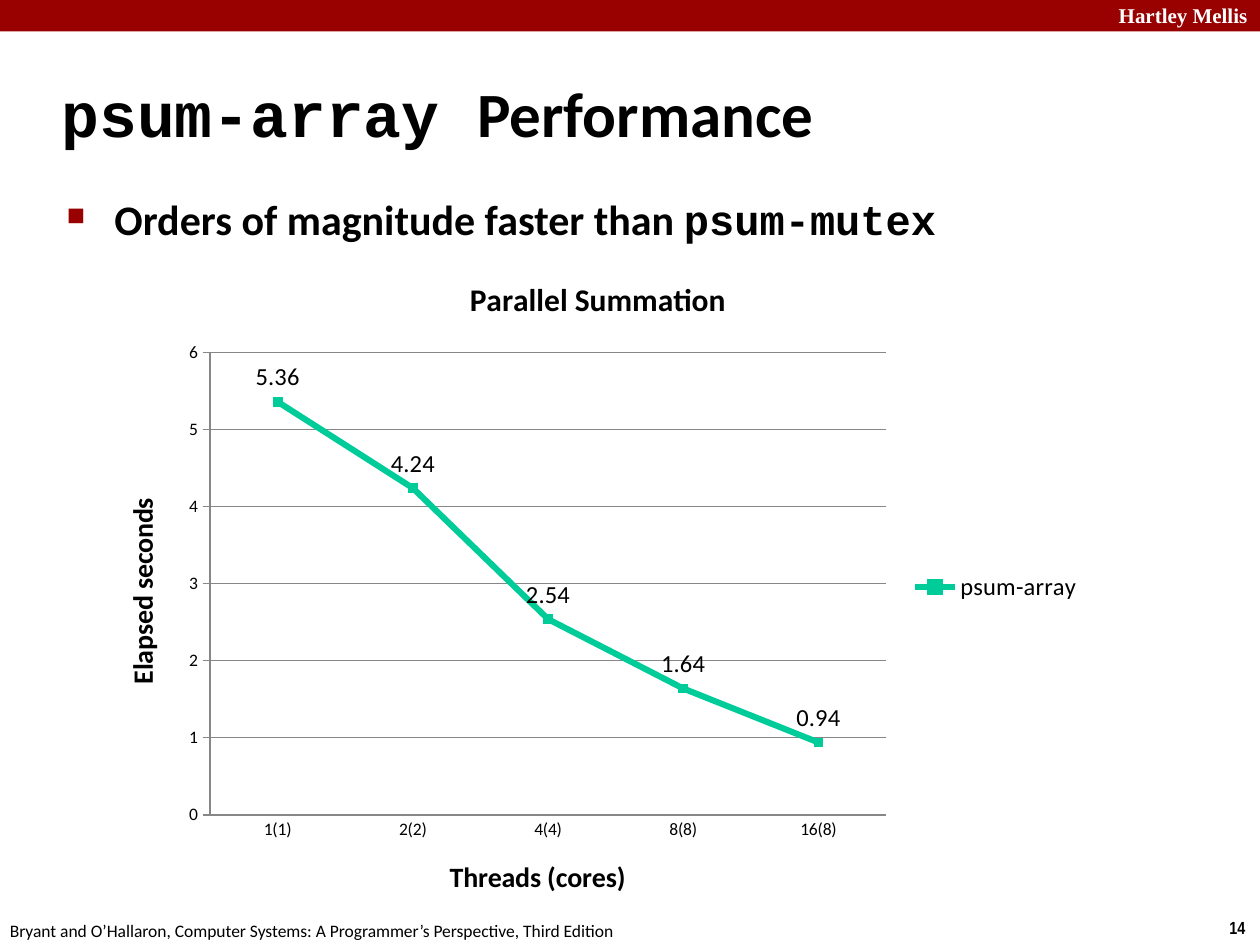
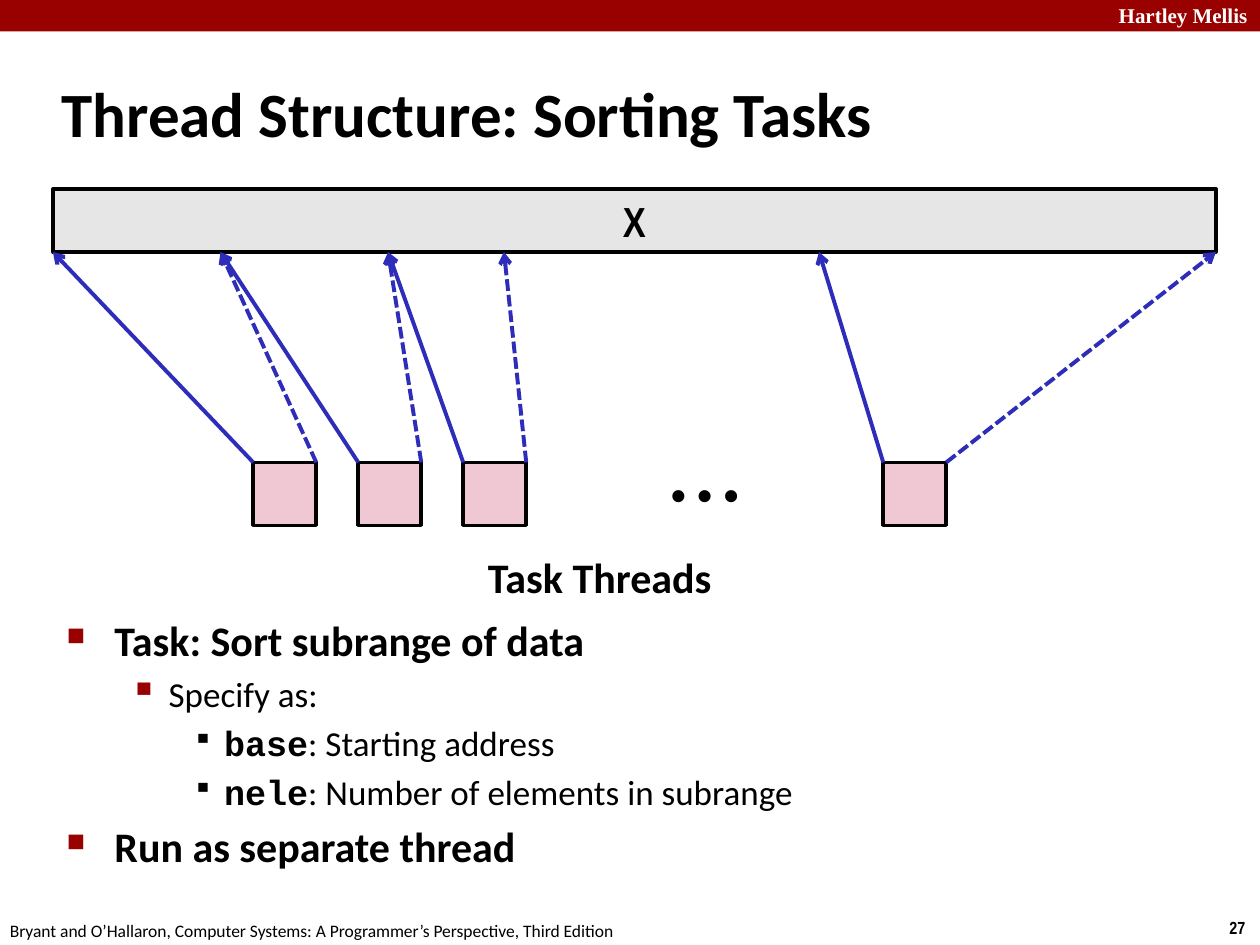
from collections import namedtuple

from lxml import etree
from pptx import Presentation
from pptx.chart.data import CategoryChartData
from pptx.dml.color import RGBColor
from pptx.enum.chart import (XL_CHART_TYPE, XL_LABEL_POSITION, XL_LEGEND_POSITION,
                             XL_MARKER_STYLE, XL_TICK_MARK)
from pptx.enum.dml import MSO_LINE
from pptx.enum.shapes import MSO_CONNECTOR, MSO_SHAPE
from pptx.enum.text import MSO_ANCHOR, PP_ALIGN
from pptx.oxml.ns import qn
from pptx.util import Inches, Pt

LEFT, CENTER, RIGHT = PP_ALIGN.LEFT, PP_ALIGN.CENTER, PP_ALIGN.RIGHT
TOP, MIDDLE = MSO_ANCHOR.TOP, MSO_ANCHOR.MIDDLE
RECTANGLE, STRAIGHT = MSO_SHAPE.RECTANGLE, MSO_CONNECTOR.STRAIGHT
DASHED = MSO_LINE.SQUARE_DOT
NO_TICK, TICK_OUT = XL_TICK_MARK.NONE, XL_TICK_MARK.OUTSIDE
LINE_MARKERS, SQUARE = XL_CHART_TYPE.LINE_MARKERS, XL_MARKER_STYLE.SQUARE
LEGEND_RIGHT, LABEL_ABOVE = XL_LEGEND_POSITION.RIGHT, XL_LABEL_POSITION.ABOVE

BODY, CODE = "Calibri", "Courier New"
BLACK, WHITE, CRIMSON = "000000", "FFFFFF", "990000"
BAR_GREY, TASK_PINK, ARROW_BLUE = "E6E6E6", "F0C8D3", "2D2DB9"
SERIES_GREEN, GRID_GREY = "00CC99", "878787"

Box = namedtuple("Box", "left top width height")
Run = namedtuple("Run", "text font bold", defaults=(BODY, True))
Level = namedtuple("Level", "size margin hanging bullet bullet_color bullet_percent")

TITLE_BOX = Box(0.39, 0.48, 8.3, 0.83)
LEVELS = [
    Level(24, 0.38, 0.38, "■", CRIMSON, 60),
    Level(20, 0.81, 0.31, "▪", CRIMSON, 110),
    Level(20, 1.25, 0.25, "▪", BLACK, 80),
]


def color(hex_string):
    return RGBColor.from_string(hex_string)


def style_font(font, size, name=BODY, hex_string=BLACK, bold=False):
    font.size, font.name, font.bold = Pt(size), name, bold
    font.color.rgb = color(hex_string)


def fill_paragraph(paragraph, runs, size, hex_string=BLACK):
    for text, name, bold in runs:
        run = paragraph.add_run()
        run.text = text
        style_font(run.font, size, name, hex_string, bold)


def add_text(slide, box, runs, size, hex_string=BLACK, align=LEFT, anchor=TOP, wrap=False):
    shape = slide.shapes.add_textbox(*map(Inches, box))
    frame = shape.text_frame
    frame.word_wrap, frame.vertical_anchor = wrap, anchor
    paragraph = frame.paragraphs[0]
    paragraph.alignment = align
    fill_paragraph(paragraph, runs, size, hex_string)


def add_rectangle(slide, box, fill, line=None):
    shape = slide.shapes.add_shape(RECTANGLE, *map(Inches, box))
    shape.shadow.inherit = False
    shape.fill.solid()
    shape.fill.fore_color.rgb = color(fill)
    if line:
        shape.line.color.rgb = color(line)
        shape.line.width = Pt(2)
    else:
        shape.line.fill.background()
    return shape


def add_arrow(slide, start, end, dashed):
    connector = slide.shapes.add_connector(STRAIGHT, *map(Inches, start + end))
    connector.line.color.rgb = color(ARROW_BLUE)
    connector.line.width = Pt(2.25)
    if dashed:
        connector.line.dash_style = DASHED
    outline = connector._element.spPr.find(qn("a:ln"))
    etree.SubElement(outline, qn("a:tailEnd"), type="arrow")
    etree.SubElement(connector._element.spPr, qn("a:effectLst"))


def add_base_slide(presentation, title_runs, number):
    """Slide with the top band, title and footer that all slides share."""
    slide = presentation.slides.add_slide(presentation.slide_layouts[6])
    add_rectangle(slide, Box(0, 0, 10, 0.25), CRIMSON)
    add_text(slide, Box(8.4, -0.03, 1.6, 0.3), [Run("Hartley Mellis", "Times New Roman")],
             12, WHITE, RIGHT, wrap=True)
    add_text(slide, Box(9.66, 7.23, 0.34, 0.27), [Run(str(number), "Arial Narrow")], 10)
    add_text(slide, Box(-0.02, 7.25, 5.08, 0.27),
             [Run("Bryant and O’Hallaron, Computer Systems: "
                  "A Programmer’s Perspective, Third Edition", bold=False)], 10)
    add_text(slide, TITLE_BOX, title_runs, 36, anchor=MIDDLE, wrap=True)
    return slide


def add_bullets(slide, box, items):
    """Bulleted list; each item is a level number and its runs."""
    frame = slide.shapes.add_textbox(*map(Inches, box)).text_frame
    frame.word_wrap = True
    for index, (depth, runs) in enumerate(items):
        paragraph = frame.add_paragraph() if index else frame.paragraphs[0]
        level = LEVELS[depth]
        paragraph.level = depth
        paragraph.space_before = Pt(0.2 * level.size)
        properties = paragraph._p.get_or_add_pPr()
        properties.set("marL", str(Inches(level.margin)))
        properties.set("indent", str(-Inches(level.hanging)))
        bullet_color = etree.SubElement(properties, qn("a:buClr"))
        etree.SubElement(bullet_color, qn("a:srgbClr"), val=level.bullet_color)
        etree.SubElement(properties, qn("a:buSzPct"), val=str(level.bullet_percent * 1000))
        etree.SubElement(properties, qn("a:buChar"), char=level.bullet)
        fill_paragraph(paragraph, runs, level.size)


def set_title(title, text, size):
    """Title of a chart or of an axis."""
    title.text_frame.text = text
    style_font(title.text_frame.paragraphs[0].runs[0].font, size, bold=True)


def place_plot(chart, **fractions):
    """Fix the inner plot area as fractions of the chart."""
    plot_area = chart._chartSpace.chart.plotArea
    for old_layout in plot_area.findall(qn("c:layout")):
        plot_area.remove(old_layout)
    layout = etree.Element(qn("c:layout"))
    plot_area.insert(0, layout)
    manual = etree.SubElement(layout, qn("c:manualLayout"))
    settings = {"layoutTarget": "inner", "xMode": "edge", "yMode": "edge", **fractions}
    for name, value in settings.items():
        etree.SubElement(manual, qn(f"c:{name}"), val=str(value))


def add_timing_chart(slide, box):
    data = CategoryChartData()
    data.categories = ["1(1)", "2(2)", "4(4)", "8(8)", "16(8)"]
    data.add_series("psum-array", [5.36, 4.24, 2.54, 1.64, 0.94])
    chart = slide.shapes.add_chart(LINE_MARKERS, *map(Inches, box), data).chart
    style_font(chart.font, 10)
    set_title(chart.chart_title, "Parallel Summation", 18)
    place_plot(chart, x=0.11, y=0.15, w=0.68, h=0.69)

    # Legend
    chart.has_legend = True
    chart.legend.position = LEGEND_RIGHT
    chart.legend.include_in_layout = False
    style_font(chart.legend.font, 14)

    # Axes
    for axis, title, tick in ((chart.category_axis, "Threads (cores)", NO_TICK),
                              (chart.value_axis, "Elapsed seconds", TICK_OUT)):
        set_title(axis.axis_title, title, 16)
        axis.major_tick_mark, axis.minor_tick_mark = tick, NO_TICK
        axis.format.line.color.rgb = color(GRID_GREY)
    chart.value_axis.minimum_scale, chart.value_axis.maximum_scale = 0, 6
    chart.value_axis.major_unit = 1
    chart.value_axis.major_gridlines.format.line.color.rgb = color(GRID_GREY)

    # Series line, markers and labels
    plot = chart.plots[0]
    plot.vary_by_categories = False
    series = plot.series[0]
    series.smooth = False
    series.format.line.color.rgb = color(SERIES_GREEN)
    series.format.line.width = Pt(3.5)
    marker = series.marker
    marker.style, marker.size = SQUARE, 5
    marker.format.fill.solid()
    marker.format.fill.fore_color.rgb = color(SERIES_GREEN)
    marker.format.line.color.rgb = color(SERIES_GREEN)
    labels = series.data_labels
    labels.show_value, labels.position = True, LABEL_ABOVE
    style_font(labels.font, 14)


def add_thread_diagram(slide, box):
    """Data bar on top, task threads below, arrows to each subrange's ends."""
    bar_height, task_size, pitch = 0.5, 0.5, 2.5 / 3
    bar_bottom = box.top + bar_height
    task_left, task_top = box.left + 1.59, box.top + 2.17

    # Data bar
    bar = add_rectangle(slide, Box(box.left, box.top, box.width, bar_height), BAR_GREY, BLACK)
    frame = bar.text_frame
    frame.word_wrap, frame.vertical_anchor = False, MIDDLE
    frame.paragraphs[0].alignment = CENTER
    fill_paragraph(frame.paragraphs[0], [Run("X", "Arial Narrow")], 24)

    # Tasks: grid column, then start and end of the subrange along the bar
    tasks = [(0, 0, 1.33), (1, 1.33, 2.66), (2, 2.66, 3.58), (6, 6.08, box.width)]
    for column, first, last in tasks:
        left = task_left + column * pitch
        add_rectangle(slide, Box(left, task_top, task_size, task_size), TASK_PINK, BLACK)
        for corner, target, dashed in ((left, first, False), (left + task_size, last, True)):
            add_arrow(slide, (corner, task_top), (box.left + target, bar_bottom), dashed)

    # Labels
    gap_left = task_left + 2 * pitch + task_size
    add_text(slide, Box(gap_left, task_top, 4 * pitch - task_size, task_size),
             [Run("• • •", "Arial")], 24, align=CENTER, anchor=MIDDLE)
    add_text(slide, Box(task_left, box.top + 2.83, 6 * pitch + task_size, 0.5),
             [Run("Task Threads")], 24, align=CENTER, anchor=MIDDLE)


def build_performance_slide(presentation):
    slide = add_base_slide(presentation, [Run("psum-array ", CODE), Run("Performance")], 14)
    add_bullets(slide, Box(0.43, 1.49, 8.64, 0.84),
                [(0, [Run("Orders of magnitude faster than "), Run("psum-mutex", CODE)])])
    add_timing_chart(slide, Box(0.8, 2, 7.89, 5.32))


def build_sorting_slide(presentation):
    slide = add_base_slide(presentation, [Run("Thread Structure: Sorting Tasks")], 27)
    add_bullets(slide, Box(0.43, 4.83, 8.64, 2.1), [
        (0, [Run("Task: Sort subrange of data")]),
        (1, [Run("Specify as:", bold=False)]),
        (2, [Run("base", CODE), Run(": Starting address", bold=False)]),
        (2, [Run("nele", CODE), Run(": Number of elements in subrange", bold=False)]),
        (0, [Run("Run as separate thread")]),
    ])
    add_thread_diagram(slide, Box(0.42, 1.5, 9.23, 3.33))


def main():
    presentation = Presentation()
    presentation.slide_width, presentation.slide_height = Inches(10), Inches(7.5)
    build_performance_slide(presentation)
    build_sorting_slide(presentation)
    presentation.save("out.pptx")


if __name__ == "__main__":
    main()
